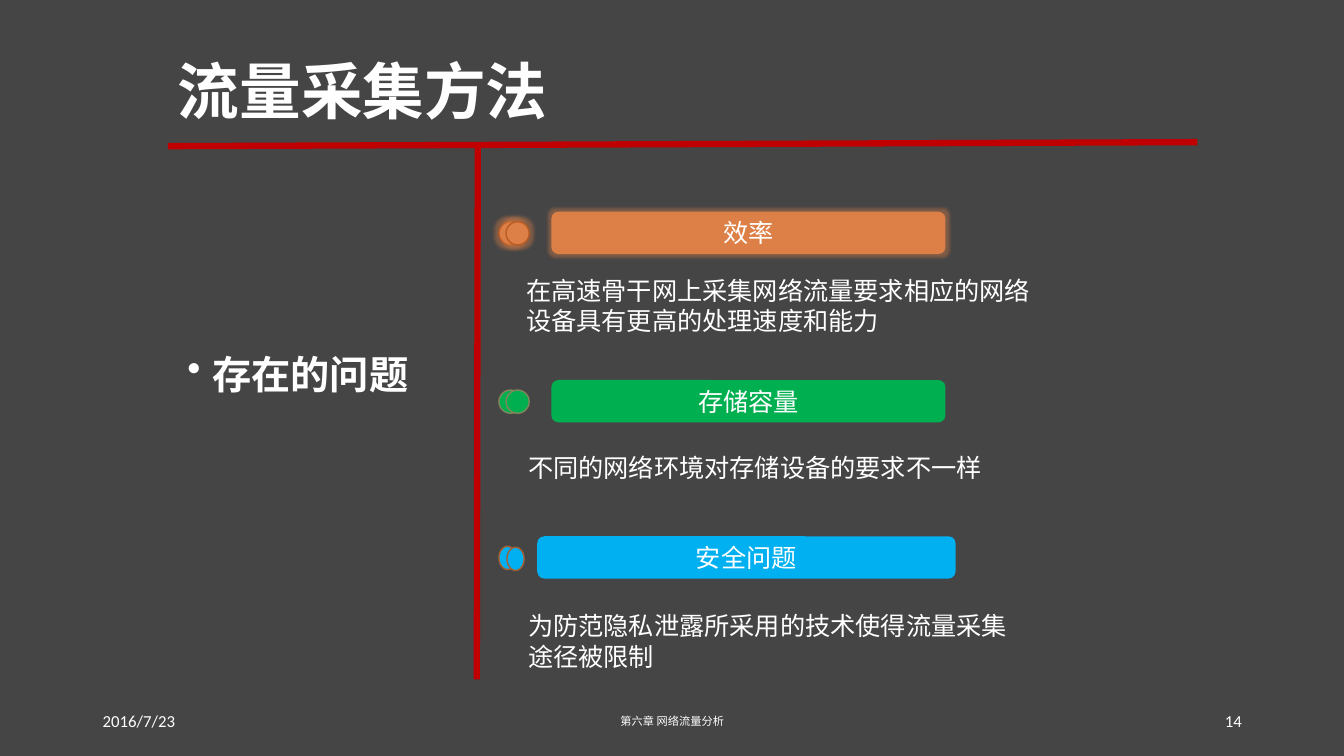
from dataclasses import dataclass

from lxml.etree import SubElement
from pptx import Presentation
from pptx.dml.color import RGBColor
from pptx.enum.shapes import MSO_CONNECTOR, MSO_SHAPE
from pptx.enum.text import MSO_ANCHOR, PP_ALIGN
from pptx.oxml.ns import qn
from pptx.util import Inches, Pt


@dataclass(frozen=True)
class Theme:
    background: str = "454545"
    text: str = "FFFFFF"
    rule: str = "C00000"
    orange: str = "DD8047"
    orange_edge: str = "B95B22"
    green: str = "00B050"
    green_edge: str = "81875A"
    blue: str = "00B0F0"
    blue_edge: str = "A35F35"
    chinese_font: str = "Noto Sans CJK SC"
    latin_font: str = "Calibri"
    title_size: int = 44
    body_size: int = 28
    topic_size: int = 18
    footer_size: int = 12
    chapter_size: int = 8
    rule_width: float = 4.5
    glow_radius: int = 5


@dataclass(frozen=True)
class Topic:
    heading: str
    detail: str
    fill: str
    edge: str
    top: float
    bar: tuple
    dot_width: float
    dot_shift: tuple
    detail_box: tuple
    glow: bool = False


THEME = Theme()
WIDTH, HEIGHT = Inches(13.33), Inches(7.5)
COLUMNS, ROWS = 40, 30
BAR_HEIGHT = 1.68
DOT_LEFT, DOT_DROP, DOT_HEIGHT = 14.85, 0.4, 0.92
FOOTER_TOP, FOOTER_HEIGHT = 27.8, 1.6

TOPICS = (
    Topic("效率", "在高速骨干网上采集网络流量要求相应的网络设备具有更高的处理速度和能力",
          THEME.orange, THEME.orange_edge, 8.4, (16.41, 11.73), 0.69, (0.21, 0),
          (15.36, 10.72, 15.69, 2.84), glow=True),
    Topic("存储容量", "不同的网络环境对存储设备的要求不一样",
          THEME.green, THEME.green_edge, 15.08, (16.41, 11.73), 0.69, (0.21, 0),
          (15.42, 17.76, 23.13, 1.6)),
    Topic("安全问题", "为防范隐私泄露所采用的技术使得流量采集途径被限制",
          THEME.blue, THEME.blue_edge, 21.28, (15.99, 12.45), 0.51, (0.24, 0.04),
          (15.42, 24.04, 14.97, 2.84)),
)


def column(count):
    return round(WIDTH * count / COLUMNS)


def row(count):
    return round(HEIGHT * count / ROWS)


def grid_box(left, top, width, height):
    return column(left), row(top), column(width), row(height)


def color(value):
    return RGBColor.from_string(value)


def write(shape, text, size, font=THEME.chinese_font, bold=False,
          align=PP_ALIGN.LEFT, anchor=MSO_ANCHOR.MIDDLE):
    frame = shape.text_frame
    frame.word_wrap = True
    frame.vertical_anchor = anchor
    paragraph = frame.paragraphs[0]
    paragraph.text = text
    paragraph.alignment = align
    paragraph.font.size = Pt(size)
    paragraph.font.bold = bold
    paragraph.font.color.rgb = color(THEME.text)
    paragraph.font.name = font
    properties = paragraph._p.pPr.find(qn("a:defRPr"))
    SubElement(properties, qn("a:ea"), typeface=font)
    return paragraph


def add_text(slide, box, text, size, **style):
    return write(slide.shapes.add_textbox(*grid_box(*box)), text, size, **style)


def add_bullet(paragraph):
    properties = paragraph._p.pPr
    properties.set("marL", str(Inches(0.25)))
    properties.set("indent", str(-Inches(0.25)))
    bullet = SubElement(properties, qn("a:buChar"), char="•")
    properties.find(qn("a:defRPr")).addprevious(bullet)


def add_rule(slide, start, end):
    rule = slide.shapes.add_connector(
        MSO_CONNECTOR.STRAIGHT,
        column(start[0]), row(start[1]), column(end[0]), row(end[1]))
    rule.line.color.rgb = color(THEME.rule)
    rule.line.width = Pt(THEME.rule_width)
    SubElement(rule._element.spPr, qn("a:effectLst"))


def add_filled(group, kind, box, topic, outlined):
    shape = group.shapes.add_shape(kind, *grid_box(*box))
    shape.shadow.inherit = False
    shape.fill.solid()
    shape.fill.fore_color.rgb = color(topic.fill)
    if outlined:
        shape.line.color.rgb = color(topic.edge)
        shape.line.width = Pt(1)
    else:
        shape.line.fill.background()
    if topic.glow:
        effects = shape._element.spPr.find(qn("a:effectLst"))
        glow = SubElement(effects, qn("a:glow"), rad=str(Pt(THEME.glow_radius)))
        tint = SubElement(glow, qn("a:srgbClr"), val=topic.fill)
        SubElement(tint, qn("a:alpha"), val="40000")
    return shape


def add_topic(slide, topic):
    group = slide.shapes.add_group_shape()
    left, width = topic.bar
    bar = add_filled(group, MSO_SHAPE.ROUNDED_RECTANGLE,
                     (left, topic.top, width, BAR_HEIGHT), topic, outlined=False)
    write(bar, topic.heading, THEME.topic_size, align=PP_ALIGN.CENTER)
    for right, down in ((0, 0), topic.dot_shift):
        box = (DOT_LEFT + right, topic.top + DOT_DROP + down,
               topic.dot_width, DOT_HEIGHT)
        add_filled(group, MSO_SHAPE.OVAL, box, topic, outlined=True)
    add_text(slide, topic.detail_box, topic.detail, THEME.topic_size,
             anchor=MSO_ANCHOR.TOP)


def add_footer(slide, left, width, text, size, **style):
    add_text(slide, (left, FOOTER_TOP, width, FOOTER_HEIGHT), text, size, **style)


def main():
    presentation = Presentation()
    presentation.slide_width, presentation.slide_height = WIDTH, HEIGHT
    slide = presentation.slides.add_slide(presentation.slide_layouts[6])
    slide.background.fill.solid()
    slide.background.fill.fore_color.rgb = color(THEME.background)

    add_rule(slide, (5, 5.8), (35.64, 5.64))
    add_rule(slide, (14.22, 5.8), (14.19, 26.96))

    title = add_text(slide, (5, 0.84, 30.63, 5.8), "流量采集方法",
                     THEME.title_size, bold=True)
    title.line_spacing = 0.9
    body = add_text(slide, (5.28, 12.76, 8.55, 4), "存在的问题",
                    THEME.body_size, bold=True, anchor=MSO_ANCHOR.TOP)
    body.line_spacing = 1.5
    body.space_before = Pt(10)
    add_bullet(body)

    for topic in TOPICS:
        add_topic(slide, topic)

    add_footer(slide, 2.76, 9, "2016/7/23", THEME.footer_size, font=THEME.latin_font)
    add_footer(slide, 13.26, 13.5, "第六章 网络流量分析", THEME.chapter_size,
               align=PP_ALIGN.CENTER)
    add_footer(slide, 28.26, 9, "14", THEME.footer_size, font=THEME.latin_font,
               align=PP_ALIGN.RIGHT)
    presentation.save("out.pptx")


if __name__ == "__main__":
    main()
